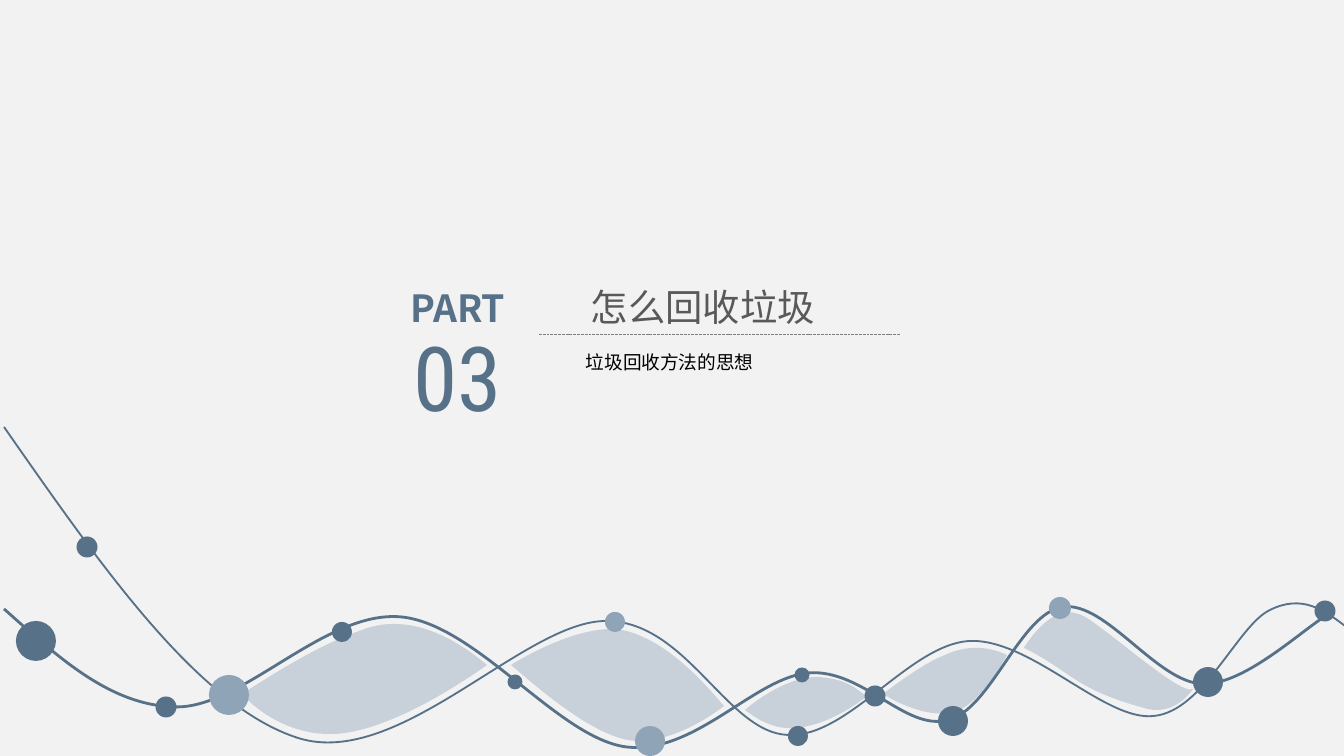
"""Build the section slide for part 03, with two waves and dots along the bottom."""
from lxml.etree import SubElement
from pptx import Presentation
from pptx.dml.color import RGBColor
from pptx.enum.dml import MSO_LINE
from pptx.enum.shapes import MSO_CONNECTOR, MSO_SHAPE
from pptx.enum.text import MSO_AUTO_SIZE, PP_ALIGN
from pptx.oxml.ns import qn
from pptx.util import Pt

PX = 914400 / 134.4
STEPS = 24
BACKGROUND = RGBColor(0xF2, 0xF2, 0xF2)
SLATE = RGBColor(0x57, 0x71, 0x88)
MIST = RGBColor(0x8F, 0xA4, 0xB7)
DARK_GRAY = RGBColor(0x59, 0x59, 0x59)
GRAY = RGBColor(0x80, 0x80, 0x80)
BLACK = RGBColor(0, 0, 0)
SANS = "Noto Sans CJK SC"
CONDENSED = "Roboto Condensed"


def px(length):
    return round(length * PX)


def add_curve(slide, start, curves, close):
    samples = [start]
    for curve in curves:
        corners = list(zip(samples[-1], *curve))
        for step in range(1, STEPS + 1):
            t = step / STEPS
            u = 1 - t
            samples.append([a * u**3 + 3 * b * u * u * t + 3 * c * u * t * t + d * t**3
                            for a, b, c, d in corners])
    columns, rows = zip(*samples)
    left, top = px(min(columns)), px(min(rows))
    builder = slide.shapes.build_freeform(left, top)
    builder.add_line_segments([(px(max(columns)), px(max(rows)))], close=False)
    shape = builder.convert_to_shape()
    shape.shadow.inherit = False
    outline = next(shape._element.spPr.iter(qn("a:path")))
    for segment in list(outline):
        outline.remove(segment)
    segments = [("a:moveTo", [start])] + [("a:cubicBezTo", curve) for curve in curves]
    for tag, points in segments:
        segment = SubElement(outline, qn(tag))
        for x, y in points:
            point = SubElement(segment, qn("a:pt"))
            point.set("x", str(px(x) - left))
            point.set("y", str(px(y) - top))
    if close:
        SubElement(outline, qn("a:close"))
    return shape


presentation = Presentation()
presentation.slide_width = px(1344)
presentation.slide_height = px(756)
slide = presentation.slides.add_slide(presentation.slide_layouts[6])
slide.background.fill.solid()
slide.background.fill.fore_color.rgb = BACKGROUND

texts = [
    ("03", (351, 315, 214, 122), 48, CONDENSED, SLATE, False, PP_ALIGN.CENTER, 1, 13),
    ("怎么回收垃圾", (479, 278, 448, 59), 20, SANS, DARK_GRAY, False, PP_ALIGN.CENTER, 1, 13),
    ("垃圾回收方法的思想", (539, 333, 469, 47), 10, SANS, BLACK, False, PP_ALIGN.LEFT, 1.5, 47),
    ("PART", (361, 279, 194, 59), 20, SANS, SLATE, True, PP_ALIGN.CENTER, 1, 13),
]
for text, place, size, font_name, color, bold, alignment, spacing, margin in texts:
    frame = slide.shapes.add_textbox(*map(px, place)).text_frame
    frame.word_wrap = True
    frame.auto_size = MSO_AUTO_SIZE.SHAPE_TO_FIT_TEXT
    frame.margin_left = px(margin)
    paragraph = frame.paragraphs[0]
    paragraph.text = text
    paragraph.alignment = alignment
    paragraph.line_spacing = spacing
    paragraph.font.size = Pt(size)
    paragraph.font.bold = bold
    paragraph.font.color.rgb = color
    paragraph.font.name = font_name
    properties = paragraph._p.pPr.find(qn("a:defRPr"))
    SubElement(properties, qn("a:ea")).set("typeface", font_name)

divider = slide.shapes.add_connector(MSO_CONNECTOR.STRAIGHT, px(539), px(334), px(900), px(334))
divider.line.color.rgb = GRAY
divider.line.width = Pt(0.5)
divider.line.dash_style = MSO_LINE.SQUARE_DOT
SubElement(divider._element.spPr, qn("a:effectLst"))

leaves = [
    ((242, 694), [((278, 671), (319, 645), (362, 630)), ((387, 620), (430, 617), (487, 665)),
                  ((487, 665), (415, 718), (356, 731)), ((297, 745), (254, 708), (242, 694))]),
    ((511, 665), [((511, 665), (586, 617), (630, 632)), ((676, 646), (715, 696), (724, 706)),
                  ((724, 706), (681, 741), (638, 741)), ((598, 741), (538, 688), (511, 665))]),
    ((745, 710), [((745, 710), (782, 677), (817, 677)), ((853, 679), (860, 694), (867, 696)),
                  ((867, 696), (840, 719), (808, 726)), ((777, 735), (753, 716), (745, 710))]),
    ((883, 694), [((883, 694), (921, 664), (945, 655)), ((964, 646), (986, 645), (1007, 655)),
                  ((1007, 655), (981, 706), (953, 712)), ((923, 720), (883, 694), (883, 694))]),
    ((1024, 648), [((1024, 648), (1050, 603), (1078, 614)), ((1091, 614), (1181, 698), (1193, 689)),
                   ((1193, 689), (1175, 718), (1144, 708)), ((1074, 689), (1071, 671), (1024, 648))]),
]
for start, curves in leaves:
    leaf = add_curve(slide, start, curves, True)
    leaf.fill.solid()
    leaf.fill.fore_color.rgb = MIST
    leaf.line.fill.background()
    leaf_color = leaf._element.spPr.find(qn("a:solidFill")).find(qn("a:srgbClr"))
    SubElement(leaf_color, qn("a:alpha")).set("val", "42000")

thick_wave = [
    ((58, 657), (110, 706), (176, 707)), ((243, 708), (325, 610), (401, 617)),
    ((476, 624), (558, 738), (626, 747)), ((695, 755), (755, 677), (809, 673)),
    ((863, 669), (906, 732), (948, 720)), ((991, 710), (1020, 613), (1063, 607)),
    ((1106, 601), (1157, 683), (1203, 684)), ((1247, 685), (1308, 624), (1331, 613)),
]
thick_dots = [
    (166, 707, 21, SLATE), (36, 641, 40, SLATE), (342, 632, 20, SLATE),
    (515, 682, 15, SLATE), (650, 741, 30, MIST), (802, 675, 15, SLATE),
    (953, 721, 30, SLATE), (1060, 608, 22, MIST), (1208, 682, 30, SLATE),
]
thin_wave = [
    ((101, 566), (198, 706), (298, 738)), ((399, 770), (524, 621), (606, 621)),
    ((687, 621), (727, 733), (788, 735)), ((848, 738), (909, 645), (969, 641)),
    ((1031, 638), (1105, 722), (1154, 716)), ((1204, 711), (1238, 625), (1270, 610)),
    ((1302, 594), (1324, 610), (1345, 626)),
]
thin_dots = [
    (87, 547, 21, SLATE), (229, 695, 40, MIST), (615, 622, 20, MIST),
    (798, 736, 20, SLATE), (875, 696, 21, SLATE), (1325, 611, 21, SLATE),
]
for start, curves, width, dots in [((4, 609), thick_wave, 1.5, thick_dots),
                                   ((4, 427), thin_wave, 1, thin_dots)]:
    wave = add_curve(slide, start, curves, False)
    wave.fill.background()
    wave.line.color.rgb = SLATE
    wave.line.width = Pt(width)
    for x, y, diameter, color in dots:
        dot = slide.shapes.add_shape(MSO_SHAPE.OVAL, px(x - diameter / 2), px(y - diameter / 2),
                                     px(diameter), px(diameter))
        dot.shadow.inherit = False
        dot.fill.solid()
        dot.fill.fore_color.rgb = color
        dot.line.fill.background()

presentation.save("out.pptx")
